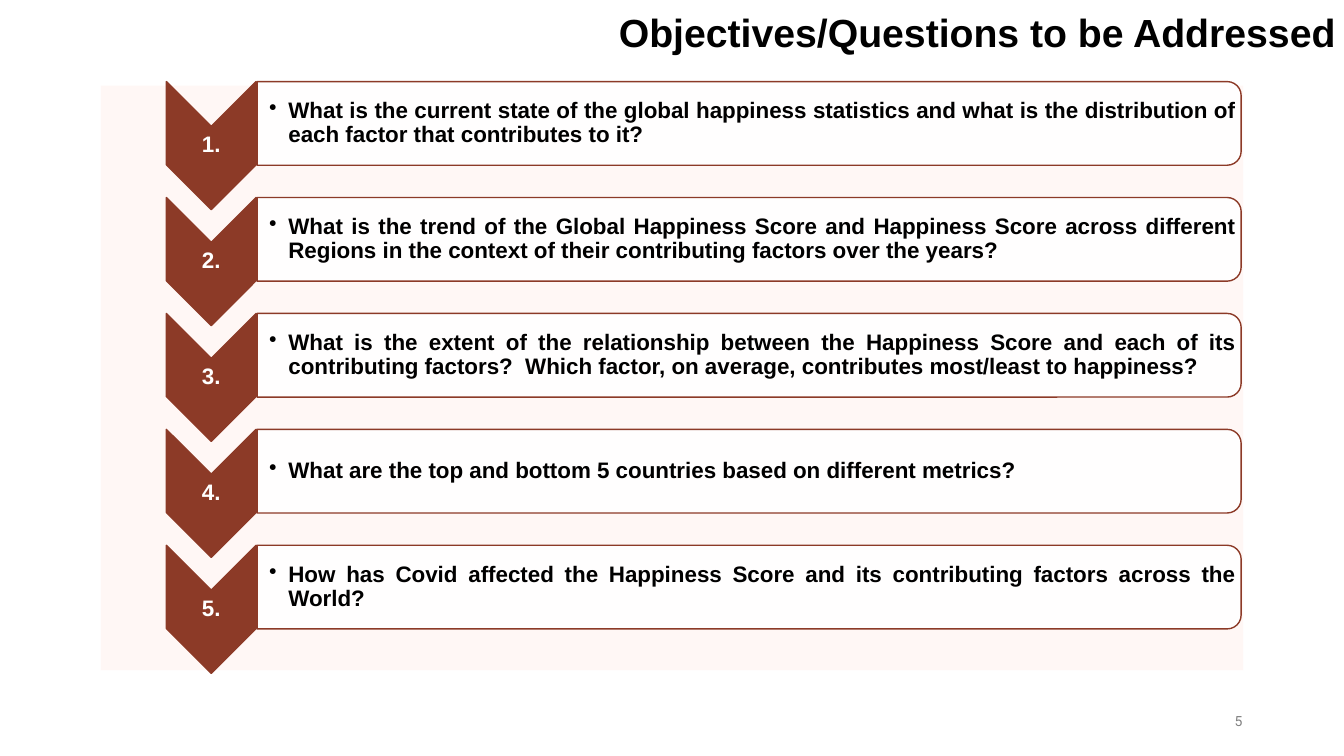
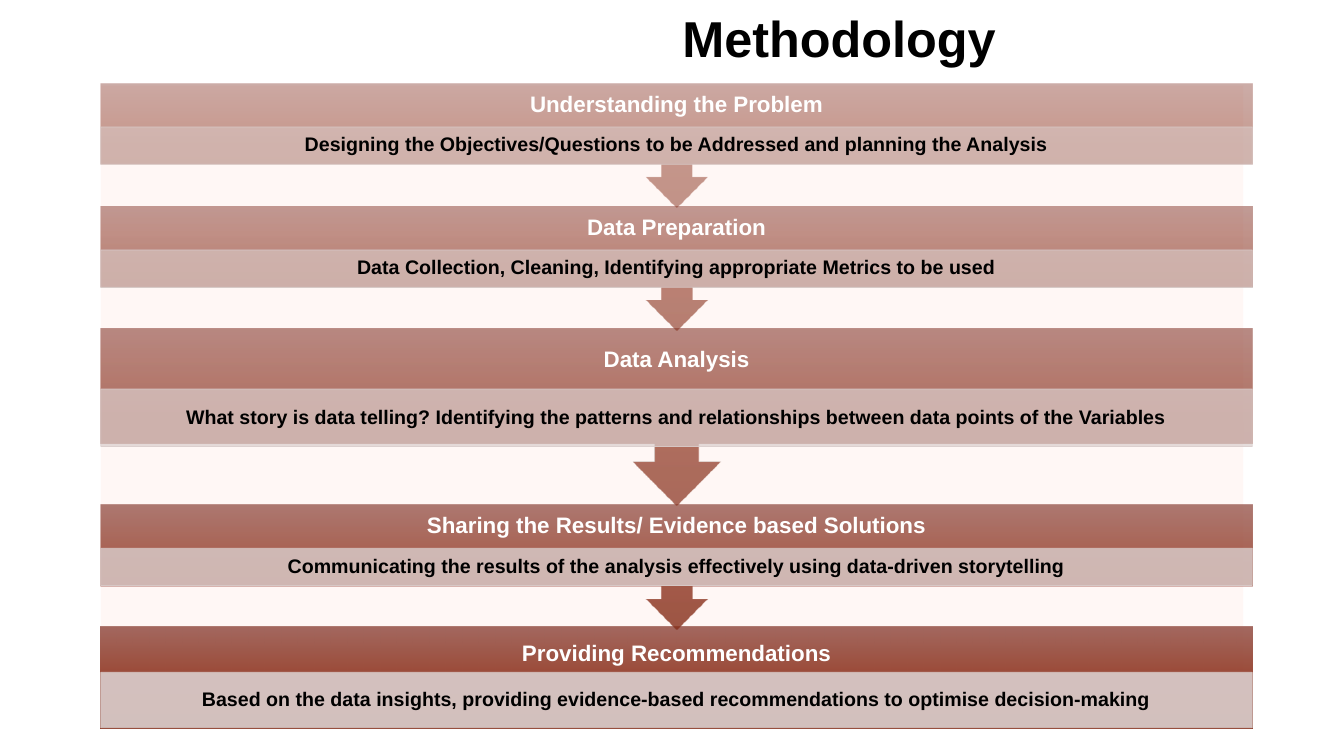
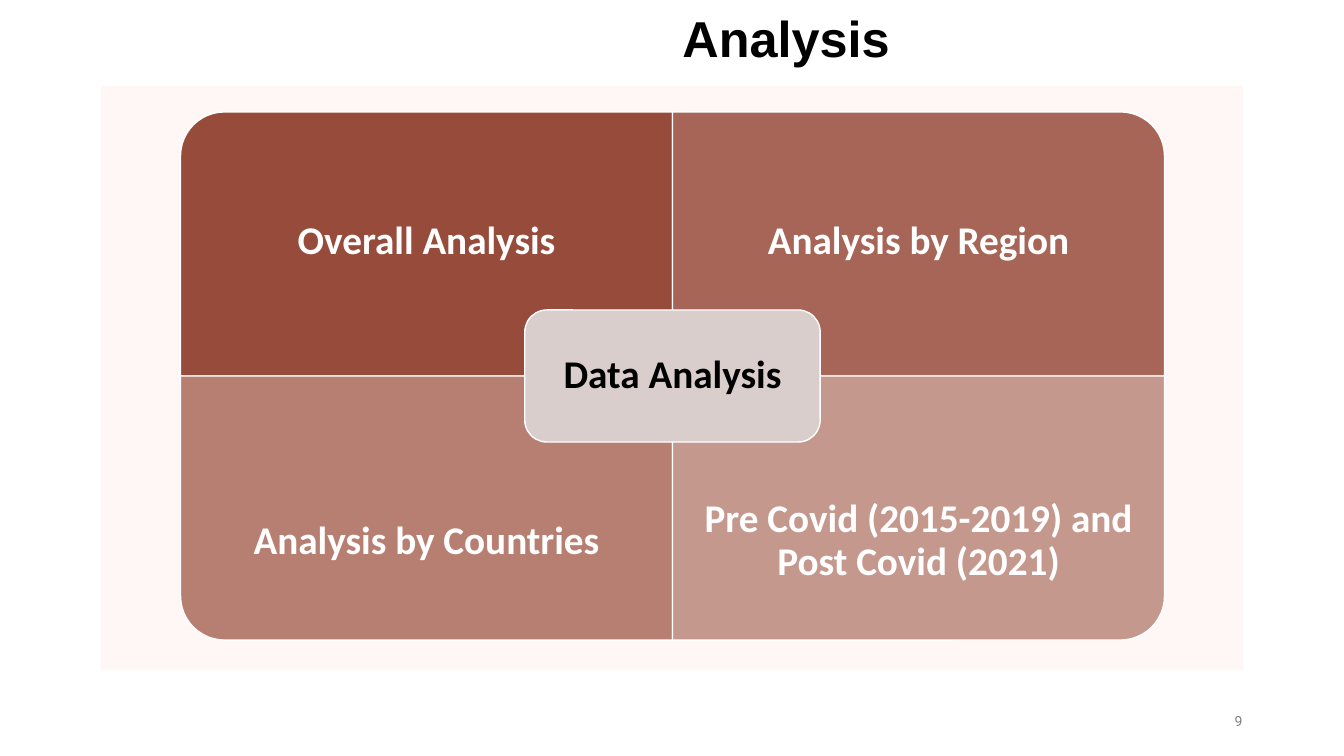
from lxml import etree
from pptx import Presentation
from pptx.dml.color import RGBColor
from pptx.enum.shapes import MSO_SHAPE
from pptx.enum.text import MSO_ANCHOR, PP_ALIGN
from pptx.oxml.ns import qn
from pptx.util import Inches, Pt

RECT = MSO_SHAPE.RECTANGLE
CHEVRON = MSO_SHAPE.CHEVRON
CARD = MSO_SHAPE.ROUND_2_SAME_RECTANGLE
CALLOUT = MSO_SHAPE.UP_ARROW_CALLOUT
QUADRANT = MSO_SHAPE.ROUND_1_RECTANGLE
HUB = MSO_SHAPE.ROUNDED_RECTANGLE
TOP, MIDDLE = MSO_ANCHOR.TOP, MSO_ANCHOR.MIDDLE
LEFT, CENTER = PP_ALIGN.LEFT, PP_ALIGN.CENTER
RIGHT, JUSTIFY = PP_ALIGN.RIGHT, PP_ALIGN.JUSTIFY


class Theme:
    brick = "8C3A27"
    mist = "DACECD"
    blush = "FFF7F5"
    white = "FFFFFF"
    black = "000000"
    grey = "808080"
    gradient = ((0, "9A5A51"), (50, "913722"), (100, "852E1A"))
    font, quadrant_font, number_font = "Arial", "Calibri", "Roboto"
    long_title, title = 28, 36
    body, detail, quadrant, number = 16, 14, 28, 10


OBJECTIVES = [
    "What is the current state of the global happiness statistics and what is the distribution of each factor that contributes to it?",
    "What is the trend of the Global Happiness Score and Happiness Score across different Regions in the context of their contributing factors over the years?",
    "What is the extent of the relationship between the Happiness Score and each of its contributing factors?  Which factor, on average, contributes most/least to happiness?",
    "What are the top and bottom 5 countries based on different metrics?",
    "How has Covid affected the Happiness Score and its contributing factors across the World?",
]

# heading, detail, top, height, heading height, detail offset, detail height
STAGES = [
    ("Understanding the Problem",
     "Designing the Objectives/Questions to be Addressed and planning the Analysis",
     0.83, 1.23, 0.43, 0.43, 0.37),
    ("Data Preparation",
     "Data Collection, Cleaning, Identifying appropriate Metrics to be used",
     2.05, 1.23, 0.43, 0.43, 0.37),
    ("Data Analysis",
     "What story is data telling? Identifying the patterns and relationships between data points of the Variables",
     3.26, 1.75, 0.62, 0.6, 0.57),
    ("Sharing the Results/ Evidence based Solutions",
     "Communicating the results of the analysis effectively using data-driven storytelling",
     5.01, 1.23, 0.43, 0.43, 0.37),
    ("Providing Recommendations",
     "Based on the data insights, providing evidence-based recommendations to optimise decision-making",
     6.22, 1.01, 0.55, 0.45, 0.55),
]

QUADRANTS = [
    ("Overall Analysis", 270, 90),
    ("Analysis by Region", 0, 77),
    ("Analysis by Countries", 180, 63),
    ("Pre Covid (2015-2019) and Post Covid (2021)", 90, 50),
]


def set_alpha(color_node, percent):
    etree.SubElement(color_node, qn("a:alpha"), val=str(percent * 1000))


def add_shape(page, kind, left, top, width, height, fill, alpha=100,
              line=None, line_width=1, line_alpha=100, turn=0):
    if turn % 180:
        left, top = left + (width - height) / 2, top + (height - width) / 2
        width, height = height, width
    shape = page.shapes.add_shape(kind, Inches(left), Inches(top), Inches(width), Inches(height))
    shape.shadow.inherit = False
    shape.rotation = turn
    shape.fill.solid()
    shape.fill.fore_color.rgb = RGBColor.from_string(fill)
    properties = shape.element.spPr
    if alpha < 100:
        set_alpha(properties.find(qn("a:solidFill"))[0], alpha)
    if line:
        shape.line.color.rgb = RGBColor.from_string(line)
        shape.line.width = Pt(line_width)
        if line_alpha < 100:
            set_alpha(properties.find(qn("a:ln")).find(qn("a:solidFill"))[0], line_alpha)
    else:
        shape.line.fill.background()
    return shape


def set_gradient(shape, alpha):
    solid = shape.element.spPr.find(qn("a:solidFill"))
    gradient = etree.Element(qn("a:gradFill"), rotWithShape="0")
    stops = etree.SubElement(gradient, qn("a:gsLst"))
    for position, color in Theme.gradient:
        stop = etree.SubElement(stops, qn("a:gs"), pos=str(position * 1000))
        set_alpha(etree.SubElement(stop, qn("a:srgbClr"), val=color), alpha)
    etree.SubElement(gradient, qn("a:lin"), ang="5400000", scaled="0")
    solid.getparent().replace(solid, gradient)


def write(shape, text, size, color=Theme.black, font=Theme.font, bold=True, align=CENTER,
          anchor=MIDDLE, insets=(0.1, 0.05, 0.1, 0.05), spacing=0.9, bullet=False):
    frame = shape.text_frame
    frame.word_wrap = True
    frame.vertical_anchor = anchor
    (frame.margin_left, frame.margin_top,
     frame.margin_right, frame.margin_bottom) = map(Inches, insets)
    frame.text = text
    para = frame.paragraphs[0]
    para.alignment = align
    para.line_spacing = spacing
    if bullet:
        properties = para._p.get_or_add_pPr()
        properties.set("marL", str(Inches(0.19)))
        properties.set("indent", str(Inches(-0.19)))
        etree.SubElement(properties, qn("a:buChar"), char="•")
    for span in para.runs:
        span.font.name = font
        span.font.size = Pt(size)
        span.font.bold = bold
        span.font.color.rgb = RGBColor.from_string(color)


def add_text(page, left, top, width, height, text, size, **style):
    box = page.shapes.add_textbox(Inches(left), Inches(top), Inches(width), Inches(height))
    write(box, text, size, **style)


def add_page(deck, title, title_box, title_size, number=None):
    page = deck.slides.add_slide(deck.slide_layouts[6])
    add_shape(page, RECT, 1, 0.85, 11.33, 5.8, Theme.blush, 95)
    if number:
        add_text(page, 9.42, 6.95, 3, 0.4, number, Theme.number, color=Theme.grey,
                 font=Theme.number_font, bold=False, align=RIGHT, spacing=1)
    add_text(page, *title_box, title, title_size, align=LEFT, anchor=TOP, spacing=1)
    return page


def build_objectives(deck):
    page = add_page(deck, "Objectives/Questions to be Addressed",
                    (6.04, 0.03, 7.41, 0.57), Theme.long_title, "5")
    for index, objective in enumerate(OBJECTIVES):
        top = 0.81 + index * 1.15
        add_shape(page, CHEVRON, 1.65, top, 0.89, 1.27, Theme.brick, line=Theme.brick, turn=90)
        add_text(page, 1.65, top + 0.44, 0.89, 0.38, f"{index + 1}.", Theme.body,
                 color=Theme.white, insets=(0.01,) * 4)
        add_shape(page, CARD, 2.55, top, 9.76, 0.83, Theme.white, 90, Theme.brick, turn=90)
        add_text(page, 2.55, top + 0.04, 9.72, 0.75, objective, Theme.body, align=JUSTIFY,
                 insets=(0.12, 0.01, 0.01, 0.01), bullet=True)


def build_methodology(deck, title_box):
    page = add_page(deck, "Methodology", title_box, Theme.title)
    left, width = 1, 11.42
    last = len(STAGES) - 1
    for index in range(last, -1, -1):
        heading, detail, top, height, heading_height, offset, detail_height = STAGES[index]
        alpha = 50 + 10 * index
        kind, turn = (RECT, 0) if index == last else (CALLOUT, 180)
        block = add_shape(page, kind, left, top, width, height, Theme.brick, turn=turn)
        set_gradient(block, alpha)
        add_text(page, left, top, width, heading_height, heading, Theme.body,
                 color=Theme.white, insets=(0.12,) * 4)
        strip = add_shape(page, RECT, left, top + offset, width, detail_height,
                          Theme.mist, alpha, Theme.mist, 0.5, 90)
        write(strip, detail, Theme.detail, insets=(0.11, 0.02, 0.11, 0.02))


def build_analysis(deck, title_box):
    page = add_page(deck, "Analysis", title_box, Theme.title, "9")
    left, top, width, height = 1.79, 1.11, 4.88, 2.62
    label_height = 1.96
    label_offsets = (0.31, height - label_height)
    for index, (label, turn, alpha) in enumerate(QUADRANTS):
        row, column = divmod(index, 2)
        x, y = left + column * width, top + row * height
        add_shape(page, QUADRANT, x, y, width, height, Theme.brick, alpha, Theme.white, turn=turn)
        add_text(page, x, y + label_offsets[row], width, label_height, label, Theme.quadrant,
                 color=Theme.white, font=Theme.quadrant_font, insets=(0.22,) * 4)
    hub_width, hub_height = 2.93, 1.31
    hub = add_shape(page, HUB, left + width - hub_width / 2, top + height - hub_height / 2,
                    hub_width, hub_height, Theme.mist, line=Theme.white)
    write(hub, "Data Analysis", Theme.quadrant, font=Theme.quadrant_font, insets=(0.12,) * 4)


def main():
    deck = Presentation()
    deck.slide_width, deck.slide_height = Inches(13.33), Inches(7.5)
    short_title_box = (6.67, 0.02, 5.11, 0.71)
    build_objectives(deck)
    build_methodology(deck, short_title_box)
    build_analysis(deck, short_title_box)
    deck.save("out.pptx")


if __name__ == "__main__":
    main()
